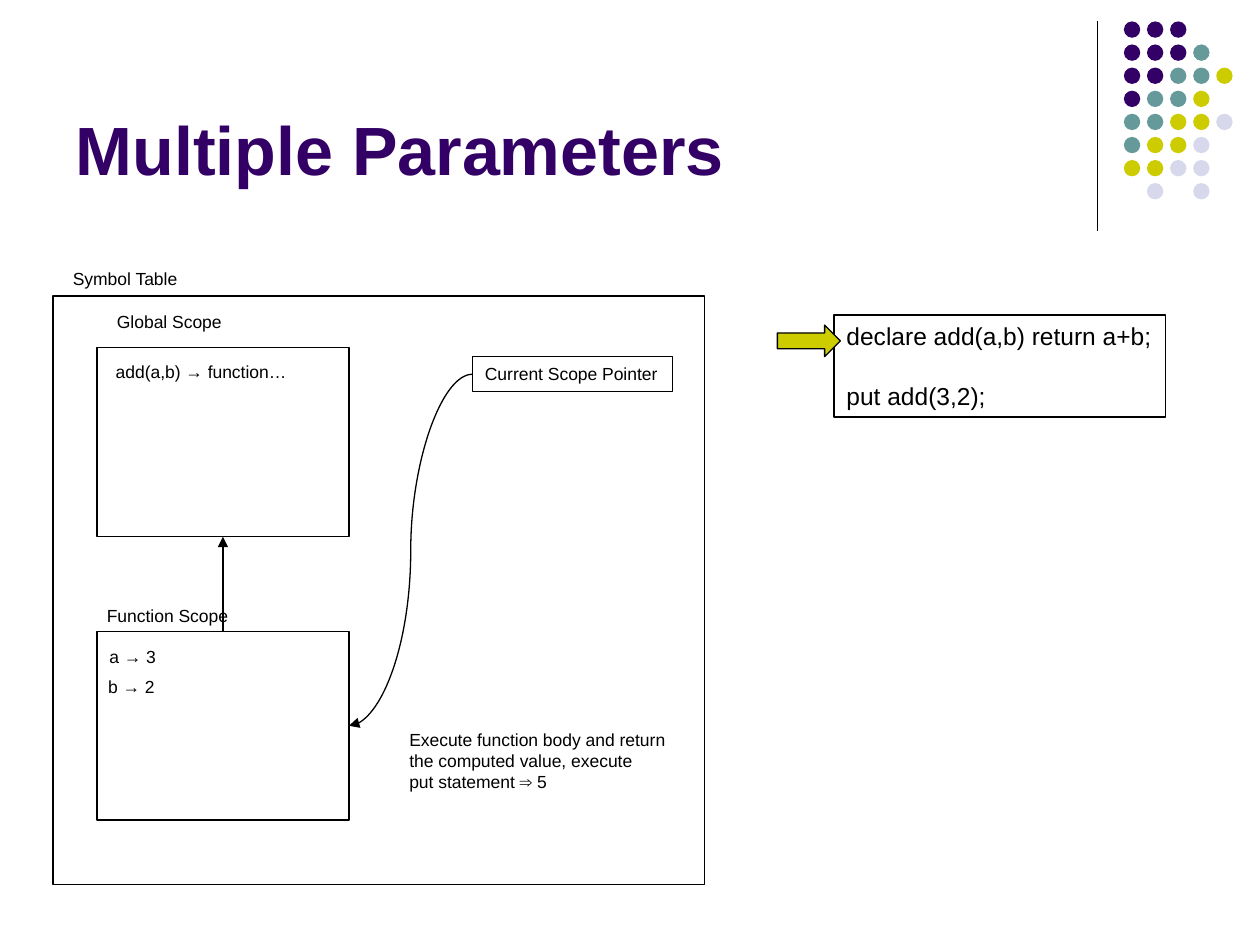
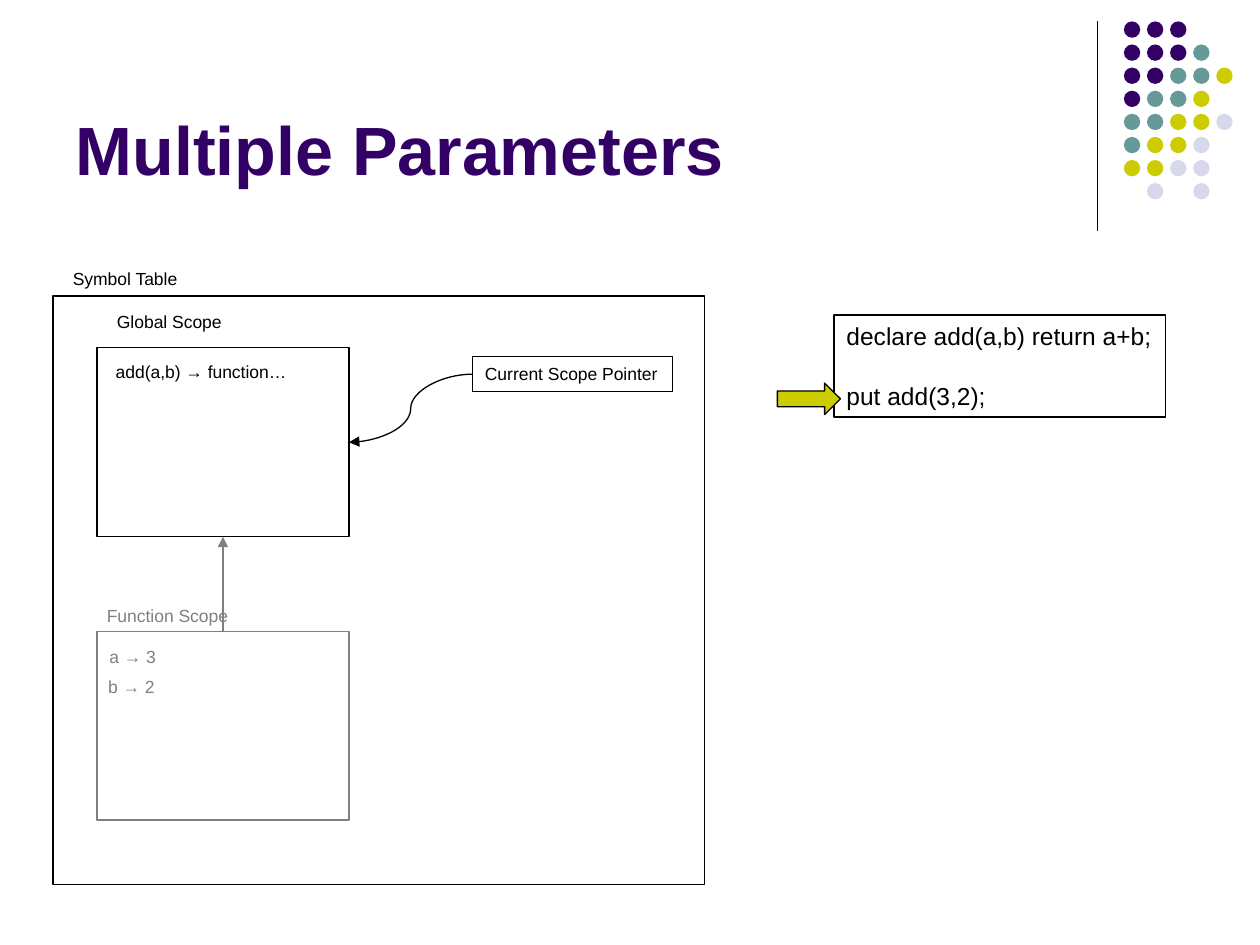
from lxml.etree import SubElement
from pptx import Presentation
from pptx.dml.color import RGBColor
from pptx.enum.shapes import MSO_CONNECTOR, MSO_SHAPE
from pptx.enum.text import MSO_ANCHOR, MSO_AUTO_SIZE, PP_ALIGN
from pptx.oxml.ns import qn
from pptx.util import Inches, Pt

PURPLE = RGBColor(0x33, 0x00, 0x66)
TEAL = RGBColor(0x66, 0x99, 0x99)
LIME = RGBColor(0xCC, 0xCC, 0x00)
LAVENDER = RGBColor(0xD8, 0xD8, 0xEC)
BLACK = RGBColor(0x00, 0x00, 0x00)
GRAY = RGBColor(0x80, 0x80, 0x80)

FONT = "Arial"
LINE_WIDTH = Pt(0.75)
DOT_COLORS = {"P": PURPLE, "T": TEAL, "L": LIME, "V": LAVENDER}
DOT_ROWS = ["PPP", "PPPT", "PPTTL", "PTTL", "TTLLV", "TLLV", "LLVV", " V V"]
DOT_PITCH = 0.55 / 3


class ScopeDeck:
    def __init__(self):
        self.presentation = Presentation()
        self.presentation.slide_width = Inches(10)
        self.presentation.slide_height = Inches(7.5)
        self.layout = self.presentation.slide_layouts[5]
        self.slide = None

    def add_slide(self, title):
        first = self.slide is None
        self.slide = self.presentation.slides.add_slide(self.layout)
        if first:
            self.decorate_layout()
        heading = self.slide.shapes.title
        heading.left, heading.top = Inches(0.5), Inches(0.13)
        heading.width, heading.height = Inches(8.25), Inches(1.42)
        frame = heading.text_frame
        frame.auto_size = MSO_AUTO_SIZE.NONE
        frame.vertical_anchor = MSO_ANCHOR.BOTTOM
        self.set_text(frame, title, 39, PURPLE, bold=True)

    def decorate_layout(self):
        for placeholder in list(self.layout.placeholders)[1:]:
            placeholder.element.getparent().remove(placeholder.element)
        ornament = self.slide.shapes.add_group_shape()
        divider = ornament.shapes.add_connector(
            MSO_CONNECTOR.STRAIGHT, Inches(8.71), Inches(0.17), Inches(8.71), Inches(1.83))
        self.style_connector(divider, BLACK)
        for row, colors in enumerate(DOT_ROWS):
            for column, key in enumerate(colors):
                if key in DOT_COLORS:
                    dot = ornament.shapes.add_shape(
                        MSO_SHAPE.OVAL, Inches(8.92 + column * DOT_PITCH),
                        Inches(0.17 + row * DOT_PITCH), Inches(0.13), Inches(0.13))
                    dot.shadow.inherit = False
                    dot.fill.solid()
                    dot.fill.fore_color.rgb = DOT_COLORS[key]
                    dot.line.fill.background()
        self.layout.shapes.element.append(ornament.element)

    def set_text(self, frame, text, size, color, bold=False):
        frame.text = text
        for paragraph in frame.paragraphs:
            paragraph.alignment = PP_ALIGN.LEFT
            for run in paragraph.runs:
                run.font.name = FONT
                run.font.size = Pt(size)
                run.font.bold = bold
                run.font.color.rgb = color

    def label(self, text, left, top, width, height=0.27, color=BLACK):
        box = self.slide.shapes.add_textbox(
            Inches(left), Inches(top), Inches(width), Inches(height))
        box.text_frame.word_wrap = False
        self.set_text(box.text_frame, text, 10, color)

    def shape(self, kind, left, top, width, height, color=BLACK, fill=None):
        shape = self.slide.shapes.add_shape(
            kind, Inches(left), Inches(top), Inches(width), Inches(height))
        shape.shadow.inherit = False
        if fill is None:
            shape.fill.background()
        else:
            shape.fill.solid()
            shape.fill.fore_color.rgb = fill
        shape.line.color.rgb = color
        shape.line.width = LINE_WIDTH
        return shape

    def box(self, left, top, width, height, text="", size=10, color=BLACK):
        box = self.shape(MSO_SHAPE.RECTANGLE, left, top, width, height, color)
        if text:
            box.text_frame.word_wrap = False
            box.text_frame.vertical_anchor = MSO_ANCHOR.TOP
            self.set_text(box.text_frame, text, size, color)
        return box

    def style_connector(self, connector, color):
        connector.line.color.rgb = color
        connector.line.width = LINE_WIDTH
        SubElement(connector.element.spPr, qn("a:effectLst"))

    def arrow(self, kind, start, start_site, end, end_site, color=BLACK):
        connector = self.slide.shapes.add_connector(kind, 0, 0, 0, 0)
        connector.begin_connect(start, start_site)
        connector.end_connect(end, end_site)
        self.style_connector(connector, color)
        outline = connector.element.spPr.find(qn("a:ln"))
        SubElement(outline, qn("a:tailEnd"), type="triangle")

    def step(self, function_color, statement_top, function_is_current):
        self.add_slide("Multiple Parameters")
        self.box(0.42, 2.35, 5.17, 4.67)
        code = self.box(6.62, 2.5, 2.63, 0.81,
                        "declare add(a,b) return a+b;\nput add(3,2);", 14)
        code.text_frame.paragraphs[1].space_before = Pt(17.6)
        global_scope = self.box(0.77, 2.76, 2, 1.5)
        function_scope = self.box(0.77, 5.01, 2, 1.5, color=function_color)
        self.arrow(MSO_CONNECTOR.STRAIGHT, function_scope, 0, global_scope, 2, function_color)
        self.label("Symbol Table", 0.48, 2.08, 1.05)
        self.label("Global Scope", 0.83, 2.42, 1.03)
        self.label("add(a,b) → function…", 0.82, 2.82, 1.56)
        self.label("Function Scope", 0.75, 4.75, 1.2, color=function_color)
        self.label("a → 3", 0.77, 5.08, 0.57, color=function_color)
        self.label("b → 2", 0.76, 5.32, 0.57, color=function_color)
        scope_pointer = self.box(3.75, 2.83, 1.59, 0.28, "Current Scope Pointer")
        current_scope = function_scope if function_is_current else global_scope
        self.arrow(MSO_CONNECTOR.CURVE, scope_pointer, 1, current_scope, 3)
        self.shape(MSO_SHAPE.RIGHT_ARROW, 6.17, statement_top, 0.5, 0.25, fill=LIME)


def main():
    deck = ScopeDeck()
    deck.step(BLACK, 2.58, function_is_current=True)
    deck.label("Execute function body and return\vthe computed value, execute\v"
               "put statement ⇒ 5", 3.15, 5.74, 2.24, 0.6)
    deck.step(GRAY, 3.04, function_is_current=False)
    deck.presentation.save("out.pptx")


if __name__ == "__main__":
    main()
